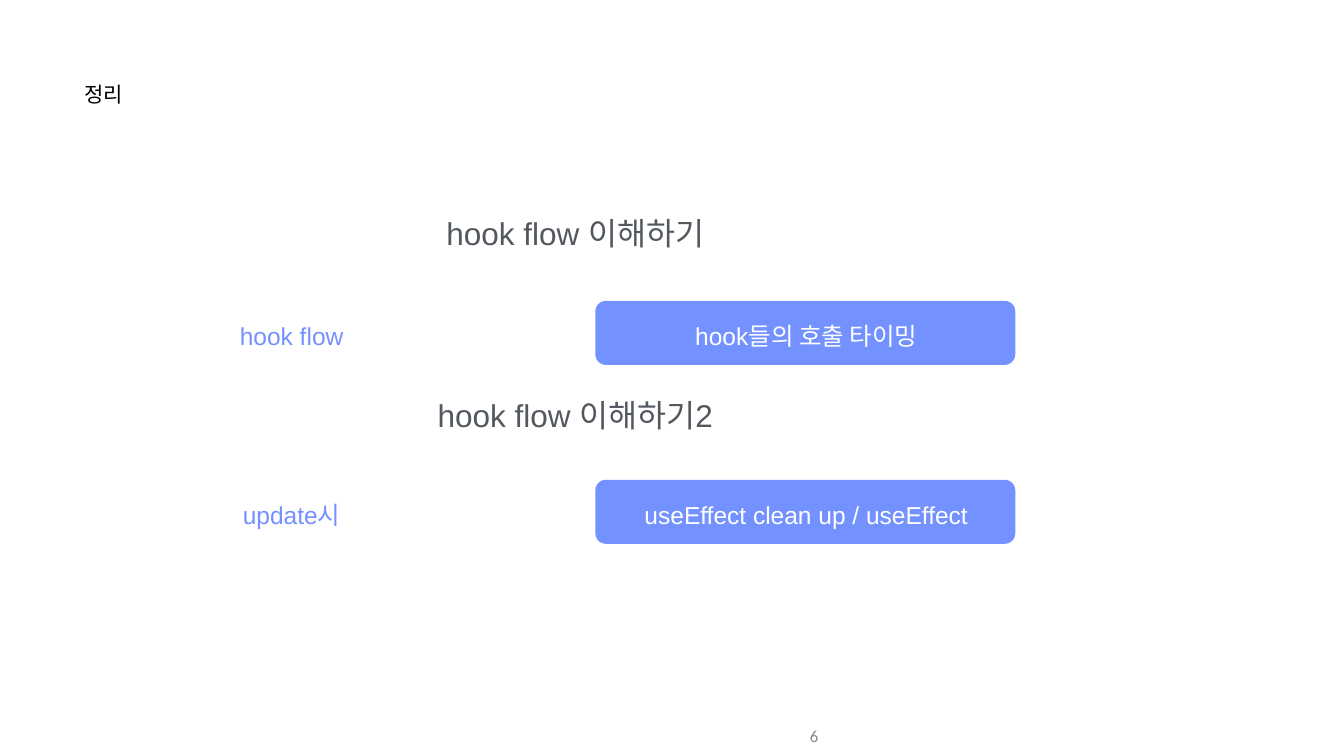
from pptx import Presentation
from pptx.dml.color import RGBColor
from pptx.enum.shapes import MSO_SHAPE as Shape
from pptx.enum.text import MSO_ANCHOR as Anchor, PP_ALIGN as Align
from pptx.util import Inches, Pt

BLUE = "7391FF"
WHITE = "FFFFFF"
GRAY = "53585F"
SECTIONS = [
    (4.24, 5.97, "hook flow 이해하기", "hook flow", "hook들의 호출 타이밍"),
    (7.85, 9.52, "hook flow 이해하기2", "update시", "useEffect clean up / useEffect"),
]


def color(value):
    """Return the colour for a hex string."""
    return RGBColor.from_string(value)


def add_text(slide, box, text, size, ink, align=Align.CENTER, anchor=Anchor.TOP,
             font="Arial", insets=(0.01, 0.01)):
    """Add a one-line text box."""
    frame = slide.shapes.add_textbox(*map(Inches, box)).text_frame
    frame.word_wrap = True
    frame.vertical_anchor = anchor
    frame.margin_left = frame.margin_right = Inches(insets[0])
    frame.margin_top = frame.margin_bottom = Inches(insets[1])
    paragraph = frame.paragraphs[0]
    paragraph.alignment = align
    run = paragraph.add_run()
    run.text = text
    run.font.name = font
    run.font.size = Pt(size)
    run.font.color.rgb = color(ink)


def add_panel(slide, box, fill):
    """Add a rounded panel without an outline."""
    shape = slide.shapes.add_shape(Shape.ROUNDED_RECTANGLE, *map(Inches, box))
    shape.adjustments[0] = 0.164
    shape.shadow.inherit = False
    shape.fill.solid()
    shape.fill.fore_color.rgb = color(fill)
    shape.line.fill.background()


def add_section(slide, heading_top, row_top, heading, label, answer):
    """Add a heading with a label and its answer panel below."""
    add_text(slide, (2.64, heading_top, 17.54, 0.79), heading, 45, GRAY)
    add_panel(slide, (11.81, row_top, 8.33, 1.27), BLUE)
    text_top = row_top + 0.38
    add_text(slide, (2.66, text_top, 6.25, 0.62), label, 35, BLUE, anchor=Anchor.MIDDLE)
    add_text(slide, (11.83, text_top, 8.33, 0.62), answer, 35, WHITE, anchor=Anchor.MIDDLE)


def main():
    """Build and save the summary slide."""
    presentation = Presentation()
    presentation.slide_width = Inches(26.66)
    presentation.slide_height = Inches(15)
    slide = presentation.slides.add_slide(presentation.slide_layouts[6])
    add_text(slide, (1.67, 1.6, 4.86, 1.18), "정리", 30, "000000", Align.LEFT)
    for section in SECTIONS:
        add_section(slide, *section)
    add_text(slide, (10.33, 14.21, 6, 0.79), "6", 24, "888888", Align.RIGHT,
             Anchor.MIDDLE, "Calibri", (0.1, 0.05))
    presentation.save("out.pptx")


if __name__ == "__main__":
    main()
